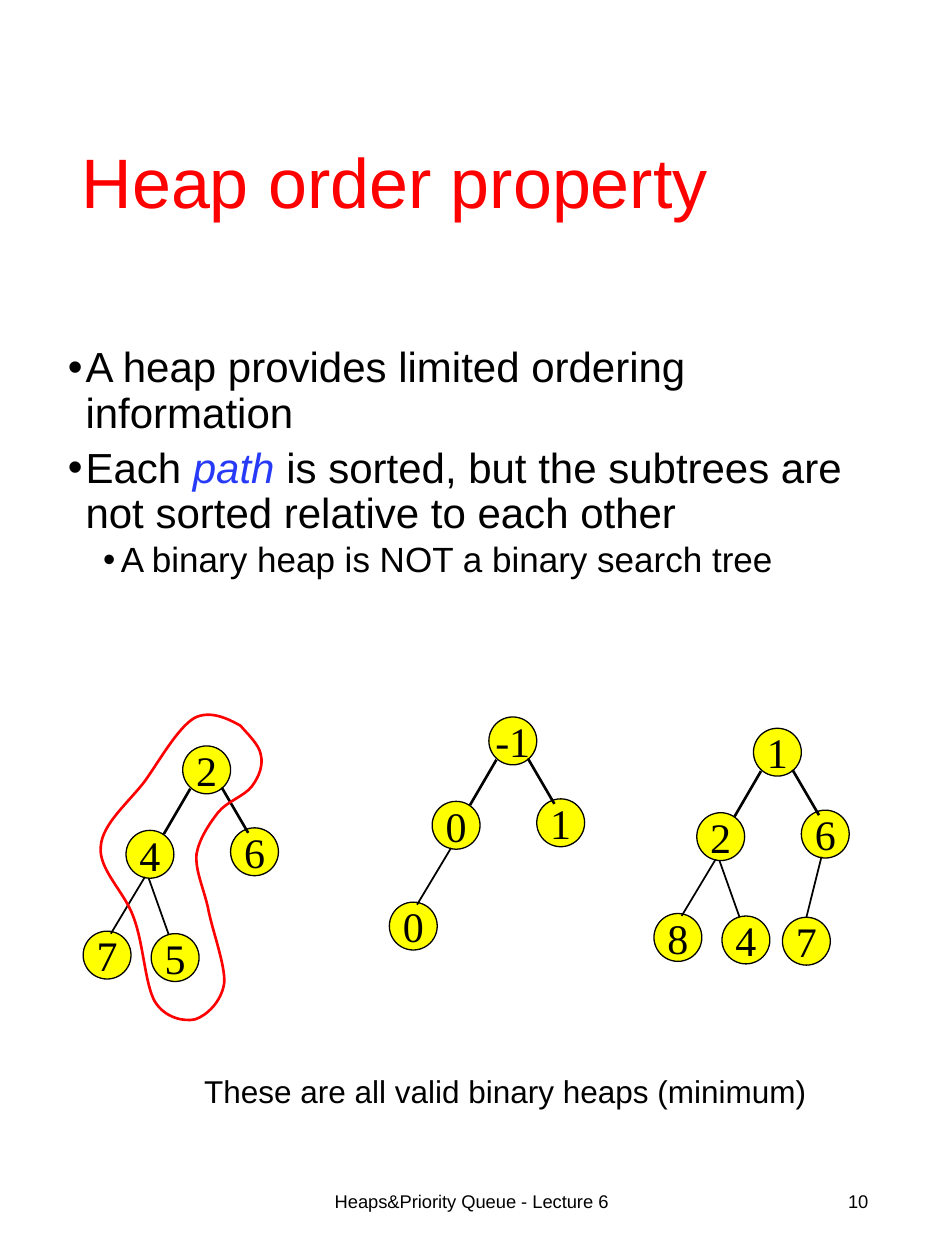
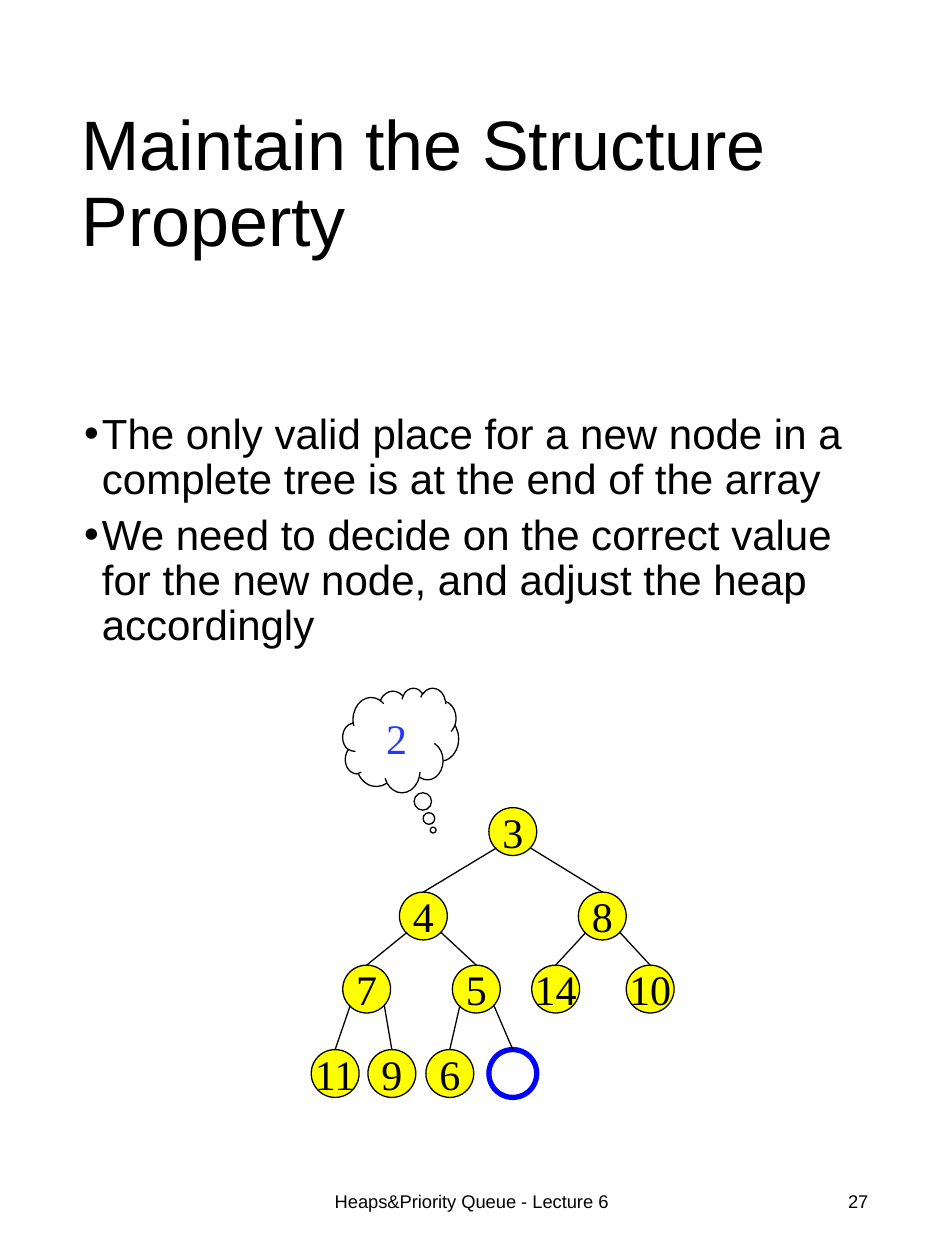
from lxml import etree
from pptx import Presentation
from pptx.dml.color import RGBColor
from pptx.enum.shapes import MSO_CONNECTOR as Link, MSO_SHAPE as Shape
from pptx.enum.text import MSO_ANCHOR as Anchor, PP_ALIGN as Align
from pptx.oxml.ns import qn
from pptx.util import Inches, Pt

BLACK = RGBColor(0x00, 0x00, 0x00)
WHITE = RGBColor(0xFF, 0xFF, 0xFF)
RED = RGBColor(0xFF, 0x00, 0x00)
YELLOW = RGBColor(0xFF, 0xFF, 0x00)
BLUE = RGBColor(0x00, 0x00, 0xFF)
ACCENT = RGBColor(0x26, 0x3A, 0xF8)
SANS = "Arial"
SERIF = "Times New Roman"
NODE = 0.38
FOOTER = "Heaps&Priority Queue - Lecture 6"

SMALL_TREE = {
    "root": ((0, 0), None),
    "left": ((-0.45, 0.67), (0.06, 0.34, -0.15, 0.70, 1.5)),
    "right": ((0.38, 0.65), (0.31, 0.33, 0.52, 0.69, 1.5)),
    "left.left": ((-0.79, 1.47), (-0.30, 1.04, -0.57, 1.49, 1)),
    "left.right": ((-0.25, 1.49), (-0.27, 1.05, -0.11, 1.50, 1)),
    "right.left": ((0.23, 1.50), (0.54, 1.02, 0.42, 1.50, 1)),
}
VALID_HEAPS = [
    (1.45, 5.92, {"root": "2", "left": "4", "right": "6",
                  "left.left": "7", "left.right": "5"}),
    (3.88, 5.69, {"root": "-1", "left": "0", "right": "1", "left.left": "0"}),
    (5.98, 5.78, {"root": "1", "left": "2", "right": "6",
                  "left.left": "8", "left.right": "4", "right.left": "7"}),
]
PATH_OUTLINE = [
    (1.91, 5.76),
    (1.82, 5.71), (1.67, 5.63), (1.54, 5.70),
    (1.41, 5.78), (1.27, 6.03), (1.15, 6.20),
    (1.02, 6.37), (0.81, 6.54), (0.80, 6.72),
    (0.78, 6.90), (0.99, 7.08), (1.06, 7.28),
    (1.14, 7.49), (1.15, 7.81), (1.23, 7.95),
    (1.31, 8.08), (1.46, 8.11), (1.55, 8.09),
    (1.64, 8.06), (1.76, 7.95), (1.78, 7.80),
    (1.79, 7.66), (1.68, 7.37), (1.65, 7.20),
    (1.61, 7.03), (1.55, 6.91), (1.56, 6.78),
    (1.58, 6.66), (1.66, 6.54), (1.73, 6.45),
    (1.80, 6.36), (1.94, 6.32), (2.00, 6.24),
    (2.06, 6.16), (2.09, 6.07), (2.07, 5.99),
    (2.06, 5.91), (1.95, 5.81), (1.91, 5.76),
]
HEAP_ROWS = [6.41, 7.08, 7.66, 8.33]
HEAP_LEVELS = [
    [(3.88, "3")],
    [(3.17, "4"), (4.59, "8")],
    [(2.72, "7"), (3.59, "5"), (4.22, "14"), (4.97, "10")],
    [(2.47, "11"), (2.92, "9"), (3.38, "6"), (3.88, "")],
]


def add_run(paragraph, text, size, color=BLACK, font=SANS, italic=False):
    run = paragraph.add_run()
    run.text = text
    run.font.name = font
    run.font.size = Pt(size)
    run.font.color.rgb = color
    run.font.italic = italic


def add_frame(slide, box, anchor=Anchor.TOP, wrap=True):
    frame = slide.shapes.add_textbox(*map(Inches, box)).text_frame
    frame.word_wrap = wrap
    frame.vertical_anchor = anchor
    return frame


def add_label(slide, box, text, size, align=Align.LEFT, color=BLACK, wrap=True, spacing=None):
    paragraph = add_frame(slide, box, Anchor.MIDDLE, wrap).paragraphs[0]
    paragraph.alignment = align
    paragraph.line_spacing = spacing
    add_run(paragraph, text, size, color)


def add_bullets(slide, box, bullets):
    frame = add_frame(slide, box)
    for index, (level, runs) in enumerate(bullets):
        paragraph = frame.paragraphs[0] if index == 0 else frame.add_paragraph()
        paragraph.level = level
        props = paragraph._p.get_or_add_pPr()
        props.set("marL", str(Inches(0.42 if level else 0.14)))
        props.set("indent", str(Inches(-0.14)))
        etree.SubElement(props, qn("a:buFont")).set("typeface", SANS)
        etree.SubElement(props, qn("a:buChar")).set("char", "•")
        paragraph.line_spacing = 0.9
        if index:
            paragraph.space_before = Pt(2.8 if level else 5.7)
        for text, emphasized in runs:
            add_run(paragraph, text, 20 if level else 24,
                    ACCENT if emphasized else BLACK, italic=emphasized)


def add_bubble(slide, kind, box, text, fill=YELLOW, line=BLACK, width=0.75, color=BLACK):
    bubble = slide.shapes.add_shape(kind, *map(Inches, box))
    bubble.shadow.inherit = False
    if fill is None:
        bubble.fill.background()
    else:
        bubble.fill.solid()
        bubble.fill.fore_color.rgb = fill
    bubble.line.color.rgb = line
    bubble.line.width = Pt(width)
    if text:
        frame = bubble.text_frame
        frame.word_wrap = False
        frame.vertical_anchor = Anchor.MIDDLE
        frame.margin_left = frame.margin_right = 0
        frame.margin_top = frame.margin_bottom = 0
        frame.paragraphs[0].alignment = Align.CENTER
        add_run(frame.paragraphs[0], text, 24, color, SERIF)
    return bubble


def add_node(slide, left, top, value):
    box = (left, top, NODE, NODE)
    if value:
        return add_bubble(slide, Shape.OVAL, box, value)
    return add_bubble(slide, Shape.OVAL, box, "", fill=None, line=BLUE, width=3)


def add_edge(slide, x1, y1, x2, y2, width):
    edge = slide.shapes.add_connector(Link.STRAIGHT, *map(Inches, (x1, y1, x2, y2)))
    edge.line.color.rgb = BLACK
    edge.line.width = Pt(width)
    etree.SubElement(edge._element.spPr, qn("a:effectLst"))
    return edge


def add_small_tree(slide, left, top, values):
    for slot, value in values.items():
        (dx, dy), edge = SMALL_TREE[slot]
        add_node(slide, left + dx, top + dy, value)
        if edge:
            x1, y1, x2, y2, width = edge
            add_edge(slide, left + x1, top + y1, left + x2, top + y2, width)


def add_full_heap(slide):
    parents = []
    for top, level in zip(HEAP_ROWS, HEAP_LEVELS):
        nodes = []
        for index, (left, value) in enumerate(level):
            node = add_node(slide, left, top, value)
            nodes.append((left, top))
            if parents:
                parent_left, parent_top = parents[index // 2]
                start = parent_left + (0.33 if index % 2 else 0.06)
                edge = add_edge(slide, start, parent_top + 0.32, left + NODE / 2, top, 0.75)
                edge.end_connect(node, 0)
        parents = nodes


def add_curved_outline(slide, points):
    corners = [(Inches(x), Inches(y)) for x, y in points]
    builder = slide.shapes.build_freeform(*corners[0], scale=1.0)
    builder.add_line_segments(corners[1:], close=True)
    outline = builder.convert_to_shape()
    outline.shadow.inherit = False
    outline.fill.background()
    outline.line.color.rgb = RED
    outline.line.width = Pt(1.5)
    segments = list(outline._element.iter(qn("a:lnTo")))
    for first in range(0, len(segments) - 2, 3):
        curve = etree.Element(qn("a:cubicBezTo"))
        segments[first].addprevious(curve)
        for segment in segments[first:first + 3]:
            curve.append(segment[0])
            segment.getparent().remove(segment)


def start_slide(deck, title, number, color=BLACK):
    slide = deck.slides.add_slide(deck.slide_layouts[6])
    add_label(slide, (2.48, 9.27, 2.53, 0.53), FOOTER, 10.5, Align.CENTER)
    add_label(slide, (5.3, 9.27, 1.69, 0.53), number, 10.5, Align.RIGHT)
    add_label(slide, (0.55, 0.51, 6.47, 1.93), title, 40, color=color, spacing=0.9)
    return slide


def add_order_slide(deck):
    slide = start_slide(deck, "Heap order property", "10", RED)
    add_bullets(slide, (0.44, 2.7, 6.62, 2.61), [
        (0, [("A heap provides limited ordering information", False)]),
        (0, [("Each ", False), ("path", True),
             (" is sorted, but the subtrees are not sorted relative to each other", False)]),
        (1, [("A binary heap is NOT a binary search tree", False)]),
    ])
    for left, top, values in VALID_HEAPS:
        add_small_tree(slide, left, top, values)
    add_curved_outline(slide, PATH_OUTLINE)
    add_label(slide, (1.52, 8.46, 4.98, 0.4), "These are all valid binary heaps (minimum)",
              18, Align.CENTER, wrap=False)


def add_structure_slide(deck):
    slide = start_slide(deck, "Maintain the Structure Property", "27")
    add_bullets(slide, (0.57, 3.23, 6.51, 3.38), [
        (0, [("The only valid place for a new node in a complete tree "
              "is at the end of the array", False)]),
        (0, [("We need to decide on the correct value for the new node, "
              "and adjust the heap accordingly", False)]),
    ])
    add_full_heap(slide)
    thought = add_bubble(slide, Shape.CLOUD_CALLOUT, (2.72, 5.46, 0.92, 0.83), "2",
                         fill=WHITE, color=ACCENT)
    thought.adjustments[0] = 0.28
    thought.adjustments[1] = 0.86


def main():
    deck = Presentation()
    deck.slide_width = Inches(7.5)
    deck.slide_height = Inches(10)
    add_order_slide(deck)
    add_structure_slide(deck)
    deck.save("out.pptx")


if __name__ == "__main__":
    main()
